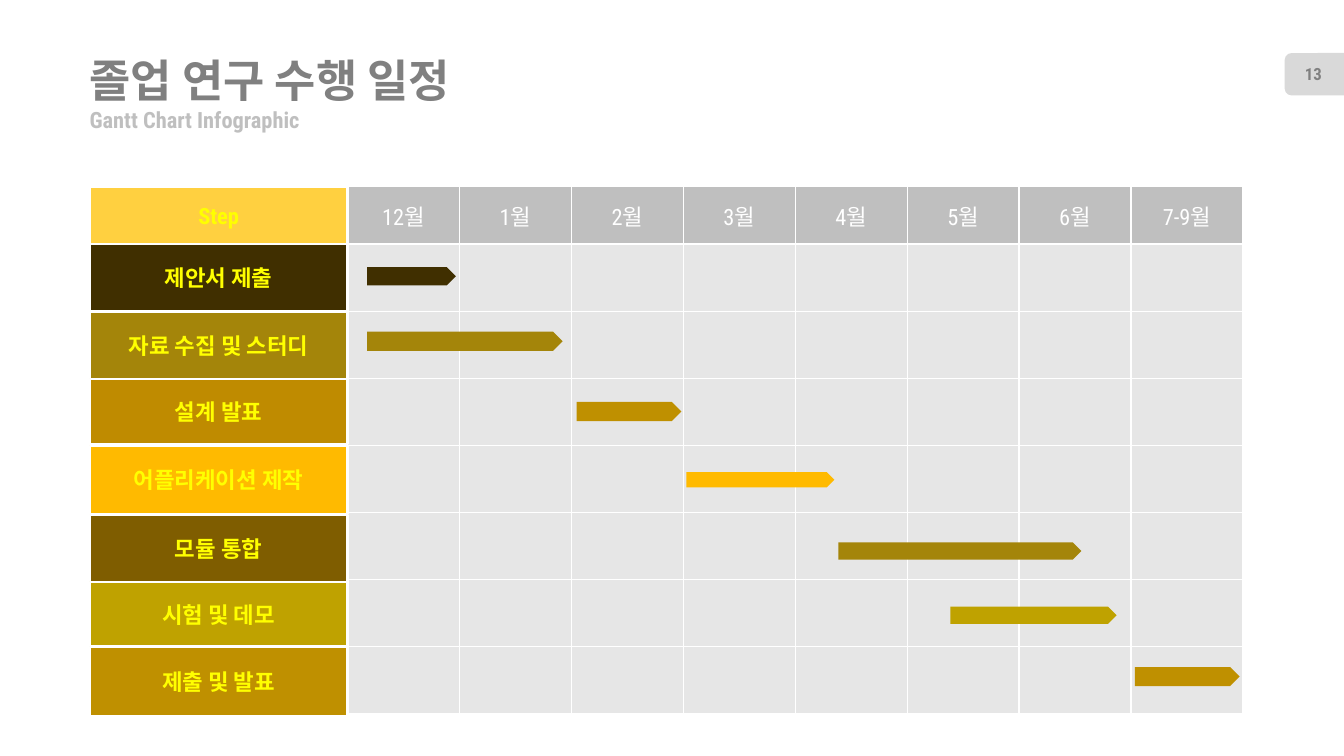
"""Build a one-slide Gantt chart of a graduation research schedule."""
from dataclasses import dataclass

from lxml.etree import SubElement
from pptx import Presentation
from pptx.dml.color import RGBColor
from pptx.enum.shapes import MSO_SHAPE
from pptx.enum.text import MSO_ANCHOR, MSO_AUTO_SIZE, PP_ALIGN
from pptx.oxml.ns import qn
from pptx.util import Cm, Pt


@dataclass(frozen=True)
class Theme:
    title_font: str = "Roboto"
    text_font: str = "Roboto Condensed"
    title_size: int = 32
    text_size: int = 16
    number_size: int = 12
    title: str = "808080"
    subtitle: str = "BFBFBF"
    tab: str = "D9D9D9"
    header: str = "BFBFBF"
    cell: str = "E6E6E6"
    rule: str = "FFFFFF"
    label: str = "FFFF00"
    step: str = "FFD040"
    brown: str = "402F00"
    olive: str = "A4850A"
    ochre: str = "BF8B00"
    amber: str = "FFBA00"
    umber: str = "7F5D00"
    lime: str = "BFA200"
    gold: str = "BF9000"


THEME = Theme()
LEFT, TOP = 2.26, 4.7
LABEL_W, MONTH_W = 6.5, 2.82
HEADER_H, ROW_H = 1.45, 1.69
MONTHS = ["12월", "1월", "2월", "3월", "4월", "5월", "6월", "7-9월"]

# name, label colour, label top and height, bar colour, bar box
TASKS = [
    ("제안서 제출", THEME.brown, 6.15, 1.7, THEME.brown, (9.25, 6.73, 2.24, 0.46)),
    ("자료 수집 및 스터디", THEME.olive, 7.85, 1.7, THEME.olive, (9.25, 8.36, 4.93, 0.48)),
    ("설계 발표", THEME.ochre, 9.55, 1.63, THEME.gold, (14.53, 10.13, 2.64, 0.48)),
    ("어플리케이션 제작", THEME.amber, 11.23, 1.73, THEME.amber, (17.3, 11.9, 3.73, 0.38)),
    ("모듈 통합", THEME.umber, 12.98, 1.68, THEME.olive, (21.13, 13.67, 6.12, 0.43)),
    ("시험 및 데모", THEME.lime, 14.66, 1.63, THEME.lime, (23.95, 15.29, 4.19, 0.43)),
    ("제출 및 발표", THEME.gold, 16.31, 1.73, THEME.gold, (28.6, 16.81, 2.64, 0.48)),
]


def rgb(color):
    return RGBColor.from_string(color)


def write(tf, text, size, color, bold=True, align=PP_ALIGN.CENTER, font=THEME.text_font):
    tf.vertical_anchor = MSO_ANCHOR.MIDDLE
    p = tf.paragraphs[0]
    p.text = text
    p.alignment = align
    p.font.name, p.font.size, p.font.bold = font, Pt(size), bold
    p.font.color.rgb = rgb(color)
    return p


def fill_placeholder(sp, box, text, size, color, font):
    sp.left, sp.top, sp.width, sp.height = map(Cm, box)
    tf = sp.text_frame
    tf.margin_left = tf.margin_top = tf.margin_right = tf.margin_bottom = 0
    tf.word_wrap = False
    tf.auto_size = MSO_AUTO_SIZE.NONE
    return write(tf, text, size, color, align=PP_ALIGN.LEFT, font=font)


def remove_bullet(p):
    pPr = p._p.get_or_add_pPr()
    pPr.set("marL", "0")
    pPr.set("indent", "0")
    pPr.insert_element_before(pPr.makeelement(qn("a:buNone")), "a:tabLst", "a:defRPr")


def add_box(s, kind, box, color, outlined=False):
    sp = s.shapes.add_shape(kind, *map(Cm, box))
    sp.shadow.inherit = False
    sp.fill.solid()
    sp.fill.fore_color.rgb = rgb(color)
    if outlined:
        sp.line.color.rgb = rgb(THEME.rule)
        sp.line.width = Pt(1.5)
    else:
        sp.line.fill.background()
    return sp


def add_label(s, text, top, height, color):
    sp = add_box(s, MSO_SHAPE.RECTANGLE, (LEFT, top, LABEL_W, height), color, outlined=True)
    write(sp.text_frame, text, THEME.text_size, THEME.label)


def add_bar(s, box, color):
    sp = add_box(s, MSO_SHAPE.RIGHT_ARROW, box, color)
    sp.adjustments[0] = 1
    sp.adjustments[1] = 0.5


def style_cell(cell, color):
    cell.fill.solid()
    cell.fill.fore_color.rgb = rgb(color)
    tcPr = cell._tc.get_or_add_tcPr()
    for i, side in enumerate(("a:lnL", "a:lnR", "a:lnT", "a:lnB")):
        ln = tcPr.makeelement(qn(side), {"w": str(Pt(1))})
        SubElement(SubElement(ln, qn("a:solidFill")), qn("a:srgbClr"), val=THEME.rule)
        tcPr.insert(i, ln)


def add_calendar(s):
    rows, cols = len(TASKS) + 1, len(MONTHS)
    box = (LEFT + LABEL_W, TOP, MONTH_W * cols, HEADER_H + ROW_H * len(TASKS))
    table = s.shapes.add_table(rows, cols, *map(Cm, box)).table
    table.first_row = table.horz_banding = False
    for column in table.columns:
        column.width = Cm(MONTH_W)
    for i, row in enumerate(table.rows):
        row.height = Cm(ROW_H if i else HEADER_H)
        for cell in row.cells:
            style_cell(cell, THEME.cell if i else THEME.header)
    for cell, month in zip(table.rows[0].cells, MONTHS):
        cell.vertical_anchor = MSO_ANCHOR.MIDDLE
        write(cell.text_frame, month, THEME.text_size, THEME.rule, bold=False)


def add_page_number(s, number):
    tab = add_box(s, MSO_SHAPE.ROUND_2_SAME_RECTANGLE, (32.59, 1.12, 1.07, 1.5), THEME.tab)
    tab.rotation = 270
    tb = s.shapes.add_textbox(Cm(32.39), Cm(1.35), Cm(1.42), Cm(1.02))
    tb.text_frame.word_wrap = True
    write(tb.text_frame, number, THEME.number_size, THEME.title)


def main():
    prs = Presentation()
    prs.slide_width, prs.slide_height = Cm(33.87), Cm(19.05)
    s = prs.slides.add_slide(prs.slide_layouts[1])
    fill_placeholder(s.shapes.title, (LEFT, 1.35, 20.88, 1.32), "졸업 연구 수행 일정",
                     THEME.title_size, THEME.title, THEME.title_font)
    subtitle = fill_placeholder(s.placeholders[1], (LEFT, 2.64, 15.24, 0.74),
                                "Gantt Chart Infographic", THEME.text_size,
                                THEME.subtitle, THEME.text_font)
    remove_bullet(subtitle)
    add_page_number(s, "13")
    add_calendar(s)
    add_label(s, "Step", TOP, HEADER_H, THEME.step)
    for name, color, top, height, bar_color, bar_box in TASKS:
        add_label(s, name, top, height, color)
        add_bar(s, bar_box, bar_color)
    prs.save("out.pptx")


if __name__ == "__main__":
    main()
